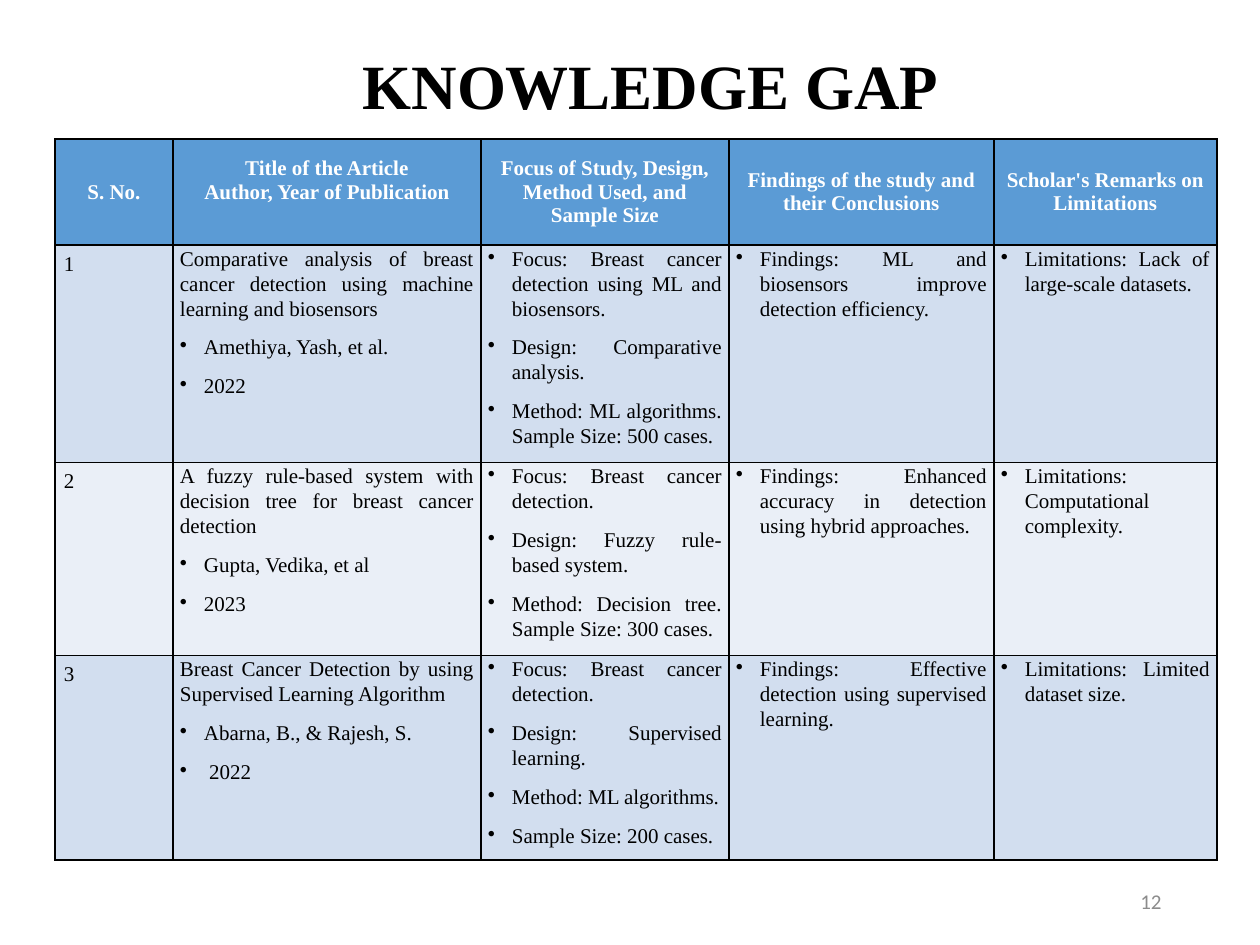
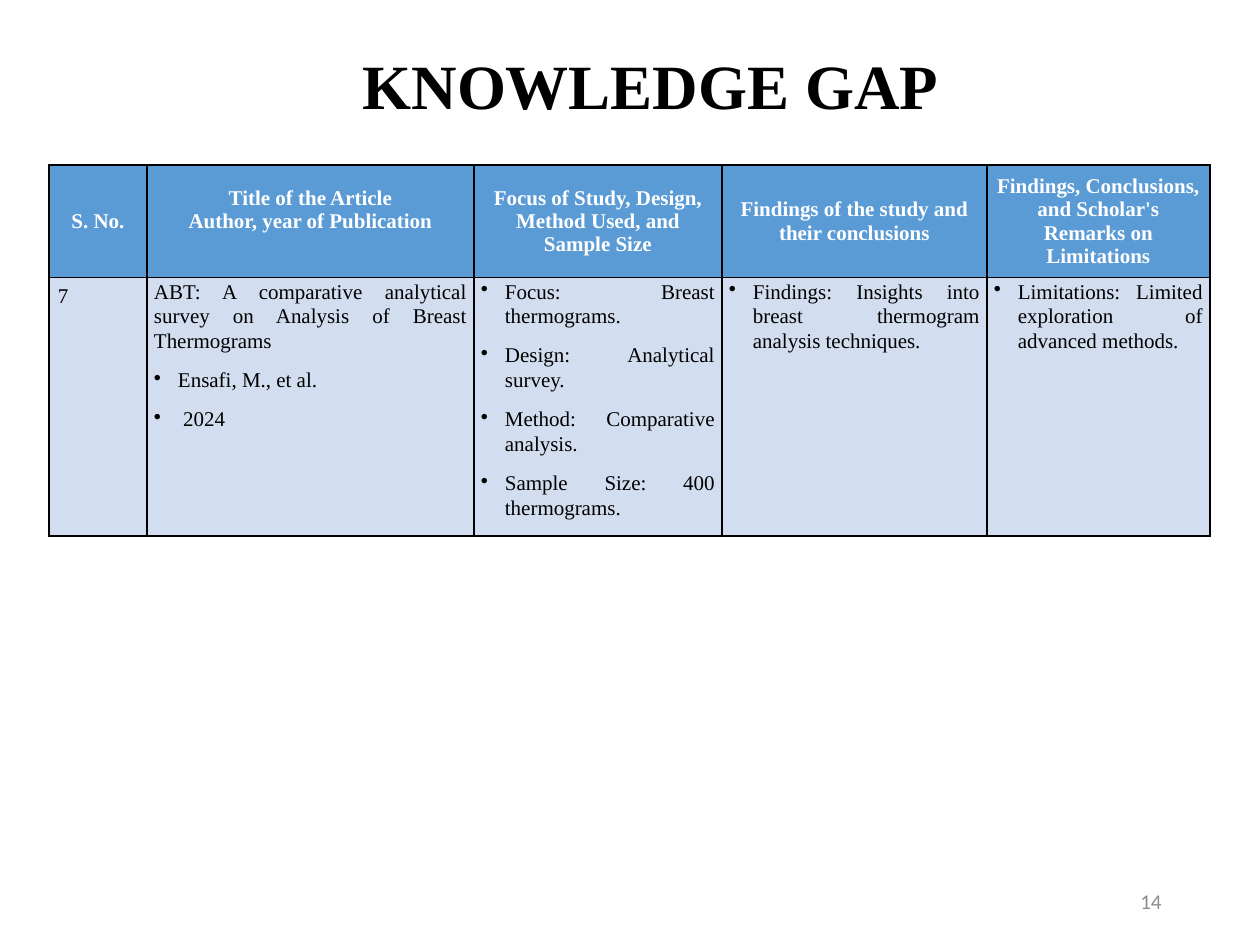
import pptx
import pptx.util
import pptx.dml.color
import pptx.enum.text
import pptx.oxml.ns
import lxml.etree

SCALE = 914400 // 126
HUES = {"head": "5B9BD5", "odd": "D2DEEF", "even": "EAEFF7",
        "ink": "000000", "white": "FFFFFF", "gray": "8C8C8C"}
SERIF = "Times New Roman"
ALIGN = pptx.enum.text.PP_ALIGN
MIDDLE = pptx.enum.text.MSO_ANCHOR.MIDDLE
TOP = pptx.enum.text.MSO_ANCHOR.TOP
TITLE_BOX = (152, 45, 997, 89)
PAGE_BOX = (890, 876, 284, 50)
INDENT = 24
HEAD_PAD = (9, 6, 9, 6)
LIFT_PAD = (9, 6, 9, 29)
BODY_PAD = (7, 1, 7, 0)
HEAD_HIGH = 106

GAPS = [
    {"page": "12", "spot": (55, 139), "cols": (118, 308, 248, 265, 223),
     "heads": ["S. No.", "Title of the Article\nAuthor, Year of Publication",
               "Focus of Study, Design, Method Used, and Sample Size",
               "Findings of the study and their Conclusions",
               "Scholar's Remarks on Limitations"],
     "rows": [
         (206, ["1",
                "Comparative analysis of breast cancer detection using machine "
                "learning and biosensors\nAmethiya, Yash, et al.\n2022",
                "Focus: Breast cancer detection using ML and biosensors.\n"
                "Design: Comparative analysis.\n"
                "Method: ML algorithms. Sample Size: 500 cases.",
                "Findings: ML and biosensors improve detection efficiency.",
                "Limitations: Lack of large-scale datasets."]),
         (193, ["2",
                "A fuzzy rule‐based system with decision tree for breast cancer "
                "detection\nGupta, Vedika, et al\n2023",
                "Focus: Breast cancer detection.\n"
                "Design: Fuzzy rule-based system.\n"
                "Method: Decision tree. Sample Size: 300 cases.",
                "Findings: Enhanced accuracy in detection using hybrid approaches.",
                "Limitations: Computational complexity."]),
         (193, ["3",
                "Breast Cancer Detection by using Supervised Learning Algorithm\n"
                "Abarna, B., & Rajesh, S.\n 2022",
                "Focus: Breast cancer detection.\n"
                "Design: Supervised learning.\n"
                "Method: ML algorithms.\nSample Size: 200 cases.",
                "Findings: Effective detection using supervised learning.",
                "Limitations: Limited dataset size."])]},
    {"page": "14", "spot": (49, 165), "cols": (98, 327, 248, 265, 223),
     "heads": ["S. No.", "Title of the Article\nAuthor, year of Publication",
               "Focus of Study, Design, Method Used, and Sample Size",
               "Findings of the study and their conclusions",
               "Findings, Conclusions, and Scholar's Remarks on Limitations"],
     "rows": [
         (243, ["7",
                "ABT: A comparative analytical survey on Analysis of Breast "
                "Thermograms\nEnsafi, M., et al.\n 2024",
                "Focus: Breast thermograms.\nDesign: Analytical survey.\n"
                "Method: Comparative analysis.\nSample Size: 400 thermograms.",
                "Findings: Insights into breast thermogram analysis techniques.",
                "Limitations: Limited exploration of advanced methods."])]},
]


def px(num):
    """Turn pixels into EMU."""
    return pptx.util.Emu(num * SCALE)


def tint(name):
    """Look up a colour by name."""
    return pptx.dml.color.RGBColor.from_string(HUES[name])


def add(node, tag, **attrs):
    """Append a drawing element to a node."""
    item = lxml.etree.SubElement(node, pptx.oxml.ns.qn(tag))
    for key, value in attrs.items():
        item.set(key, value)
    return item


def put(frame, text, font=SERIF, size=12, hue="ink", bold=False,
        align=ALIGN.LEFT, line=None, after=None, lead=None):
    """Write one paragraph per line, with bullets from line number lead on."""
    for i, part in enumerate(text.split("\n")):
        para = frame.paragraphs[0] if i == 0 else frame.add_paragraph()
        para.alignment = align
        if line is not None:
            para.line_spacing = line
        if after is not None:
            para.space_after = pptx.util.Pt(after)
        if lead is not None and i >= lead:
            props = para._p.get_or_add_pPr()
            props.set("marL", str(px(INDENT)))
            props.set("indent", str(-px(INDENT)))
            add(props, "a:buChar", char="•")
        run = para.add_run()
        run.text = part
        run.font.name = font
        run.font.size = pptx.util.Pt(size)
        run.font.bold = bold
        run.font.color.rgb = tint(hue)


def label(slide, box, text, **form):
    """Place a wrapped text box centred on its height."""
    frame = slide.shapes.add_textbox(*map(px, box)).text_frame
    frame.word_wrap = True
    frame.vertical_anchor = MIDDLE
    put(frame, text, **form)


def dress(cell, hue, pad, anchor):
    """Set the borders, fill, margins and anchor of a cell."""
    props = cell._tc.get_or_add_tcPr()
    for side in ("a:lnL", "a:lnR", "a:lnT", "a:lnB"):
        edge = add(props, side, w=str(pptx.util.Pt(1)))
        add(add(edge, "a:solidFill"), "a:srgbClr", val=HUES["ink"])
    cell.fill.solid()
    cell.fill.fore_color.rgb = tint(hue)
    (cell.margin_left, cell.margin_top,
     cell.margin_right, cell.margin_bottom) = map(px, pad)
    cell.vertical_anchor = anchor


def grid(slide, spot, cols, heads, rows):
    """Build the table of reviewed articles."""
    highs = [HEAD_HIGH] + [high for high, _ in rows]
    box = (*spot, sum(cols), sum(highs))
    table = slide.shapes.add_table(len(highs), len(cols), *map(px, box)).table
    for col, wide in zip(table.columns, cols):
        col.width = px(wide)
    for row, high in zip(table.rows, highs):
        row.height = px(high)
    for c, text in enumerate(heads):
        cell = table.cell(0, c)
        dress(cell, "head", LIFT_PAD if c == 1 else HEAD_PAD, MIDDLE)
        put(cell.text_frame, text, hue="white", bold=True, align=ALIGN.CENTER)
    for r, (_, texts) in enumerate(rows, 1):
        for c, text in enumerate(texts):
            cell = table.cell(r, c)
            dress(cell, "odd" if r % 2 else "even", BODY_PAD if c else HEAD_PAD, TOP)
            put(cell.text_frame, text, line=1.07, after=8,
                align=ALIGN.JUSTIFY if c else ALIGN.LEFT,
                lead={0: None, 1: 1}.get(c, 0))


def gap(deck, page, spot, cols, heads, rows):
    """Build one knowledge gap slide."""
    slide = deck.slides.add_slide(deck.slide_layouts[6])
    label(slide, PAGE_BOX, page, font="Calibri", hue="gray", align=ALIGN.RIGHT)
    grid(slide, spot, cols, heads, rows)
    label(slide, TITLE_BOX, "KNOWLEDGE GAP", size=36, bold=True,
          align=ALIGN.CENTER, line=0.9)


def main():
    """Build and save the deck."""
    deck = pptx.Presentation()
    deck.slide_width, deck.slide_height = px(1260), px(945)
    for data in GAPS:
        gap(deck, **data)
    deck.save("out.pptx")


if __name__ == "__main__":
    main()
